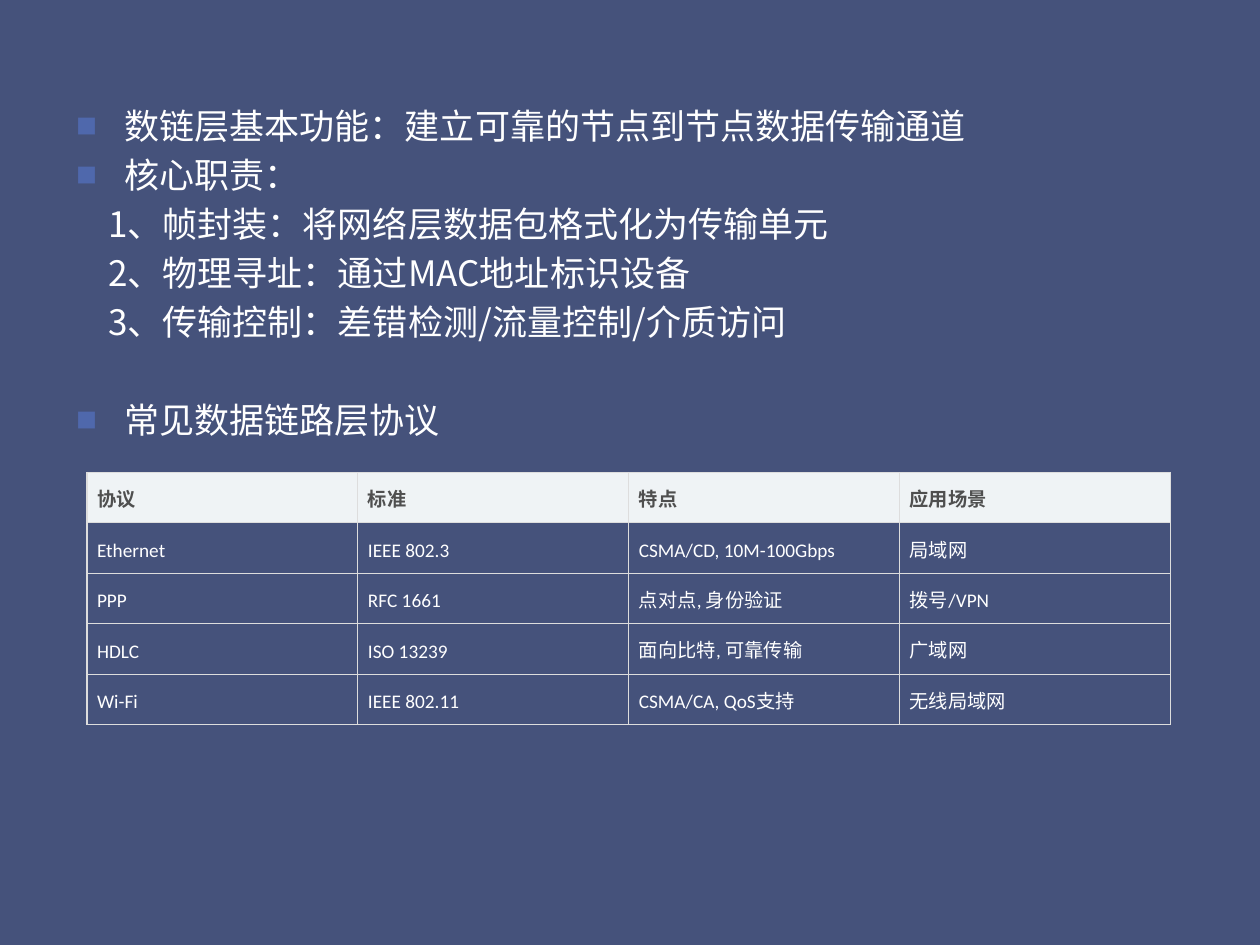
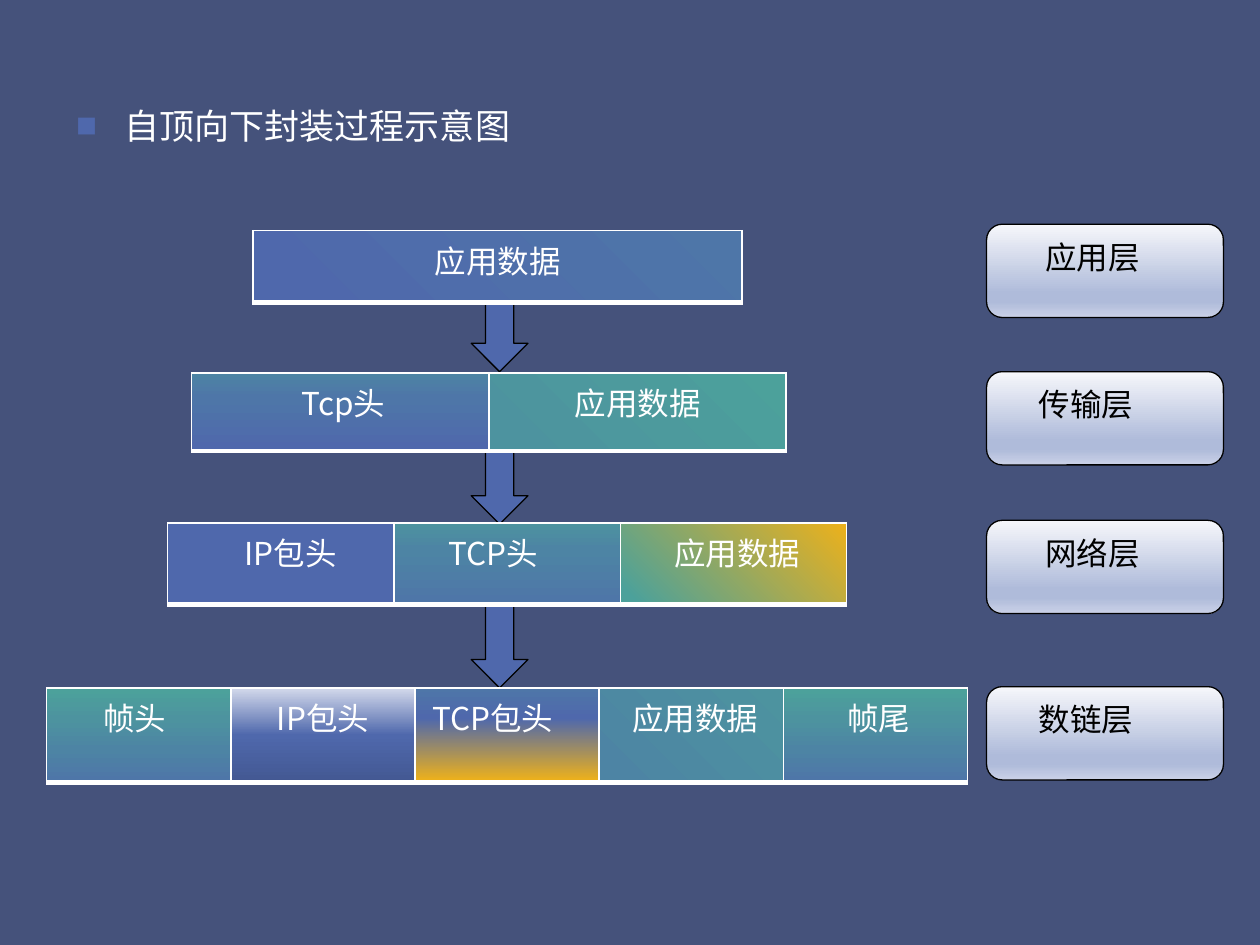
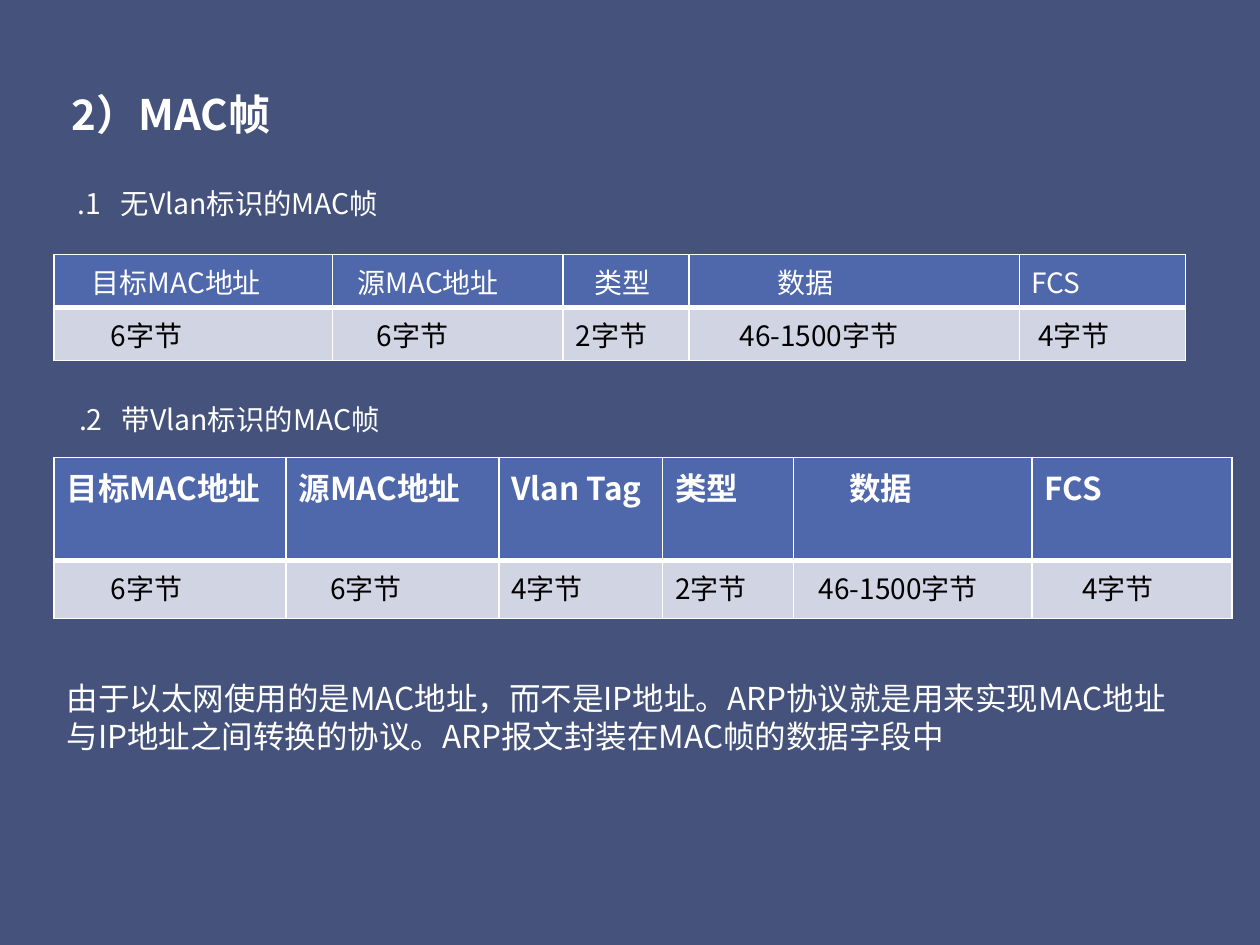
import dataclasses

import pptx
import pptx.dml.color
import pptx.enum.shapes
import pptx.enum.text
import pptx.oxml
import pptx.oxml.ns
import pptx.util

Inches = pptx.util.Inches
Pt = pptx.util.Pt
qn = pptx.oxml.ns.qn
SHAPE = pptx.enum.shapes.MSO_SHAPE
ALIGN = pptx.enum.text.PP_ALIGN
ANCHOR = pptx.enum.text.MSO_ANCHOR
NS = pptx.oxml.ns.nsdecls("a")


@dataclasses.dataclass(frozen=True)
class Theme:
    """Colours, fonts and type sizes of the deck."""
    font: str = "Noto Sans CJK SC"
    table_font: str = "Calibri"
    back: str = "45527B"
    white: str = "FFFFFF"
    black: str = "000000"
    blue: str = "4F68AC"
    pale: str = "D0D4E3"
    head_fill: str = "EFF3F5"
    head_text: str = "4F4F4F"
    grid: str = "DDDDDD"
    steel: str = "4E76A8"
    sea: str = "4D84A4"
    teal: str = "4D939F"
    green: str = "4CA19B"
    gold: str = "EDB11B"
    title: float = 24
    body: float = 20
    label: float = 18
    caption: float = 16.2
    field: float = 16
    small: float = 11
    leading: float = 1.2


T = Theme()
HEADER_LINES = (1, 1, 1, 3)
PLAIN_LINES = (1, 1, 1, 1)


def rgb(value):
    """Turn a hex string into a colour."""
    return pptx.dml.color.RGBColor.from_string(value)


def add_run(p, text, size, color=T.white, bold=False, font=T.font):
    """Append one formatted run to a paragraph."""
    r = p.add_run()
    r.text = text
    r.font.size = Pt(size)
    r.font.bold = bold
    r.font.name = font
    r.font.color.rgb = rgb(color)
    ea = pptx.oxml.parse_xml(f'<a:ea {NS} typeface="{T.font}"/>')
    r.font._element.find(qn("a:latin")).addnext(ea)


def set_indent(p, left, first=0):
    """Set the left margin and first-line indent of a paragraph."""
    pPr = p._p.get_or_add_pPr()
    pPr.set("marL", str(Inches(left)))
    pPr.set("indent", str(Inches(first)))


def add_bullet(p):
    """Give a paragraph a hanging square bullet."""
    set_indent(p, 0.38, -0.38)
    for xml in (
        f'<a:buClr {NS}><a:srgbClr val="{T.blue}"/></a:buClr>',
        f'<a:buSzPct {NS} val="60000"/>',
        f'<a:buFont {NS} typeface="{T.font}"/>',
        f'<a:buChar {NS} char="■"/>',
    ):
        p._p.get_or_add_pPr().append(pptx.oxml.parse_xml(xml))


def fill_gradient(fill, props, stops, angle):
    """Fill with colour stops along a clockwise angle."""
    fill.gradient()
    grad = props.find(qn("a:gradFill"))
    marks = "".join(
        f'<a:gs pos="{pos * 1000}"><a:srgbClr val="{color}"/></a:gs>'
        for pos, color in stops)
    new = pptx.oxml.parse_xml(
        f'<a:gradFill {NS} rotWithShape="1"><a:gsLst>{marks}</a:gsLst>'
        f'<a:lin ang="{angle * 60000}" scaled="0"/></a:gradFill>')
    props.replace(grad, new)


def paint(fill, props, value):
    """Apply no fill, a solid colour or a (stops, angle) gradient."""
    if value is None:
        fill.background()
    elif isinstance(value, str):
        fill.solid()
        fill.fore_color.rgb = rgb(value)
    else:
        fill_gradient(fill, props, *value)


def set_borders(cell, color, widths):
    """Draw the left, right, top and bottom borders of a cell."""
    tcPr = cell._tc.get_or_add_tcPr()
    for i, (side, width) in enumerate(zip("LRTB", widths)):
        tcPr.insert(i, pptx.oxml.parse_xml(
            f'<a:ln{side} {NS} w="{Pt(width)}"><a:solidFill>'
            f'<a:srgbClr val="{color}"/></a:solidFill></a:ln{side}>'))


def add_text(s, x, y, w, h):
    """Add a wrapping text box and return its text frame."""
    tf = s.shapes.add_textbox(Inches(x), Inches(y), Inches(w), Inches(h)).text_frame
    tf.word_wrap = True
    tf.margin_top = Inches(0.07)
    return tf


def add_line(tf, text, size, first=False):
    """Write a paragraph with the deck's leading and return it."""
    p = tf.paragraphs[0] if first else tf.add_paragraph()
    p.line_spacing = Pt(round(size * T.leading, 1))
    add_run(p, text, size)
    return p


def add_body(s, items):
    """Add the main text from (text, bulleted, space before) items."""
    tf = add_text(s, 0.51, 0.76, 8.98, 5.08)
    for i, (text, bulleted, before) in enumerate(items):
        p = add_line(tf, text, T.body, first=i == 0)
        if i:
            p.space_before = Pt(before)
        if bulleted:
            add_bullet(p)
        else:
            set_indent(p, 0.25)


def add_grid(s, x, y, cols, rows):
    """Add an unstyled table with the given column and row sizes."""
    table = s.shapes.add_table(
        len(rows), len(cols), Inches(x), Inches(y),
        Inches(sum(cols)), Inches(sum(rows))).table
    table.first_row = table.horz_banding = False
    for col, w in zip(table.columns, cols):
        col.width = Inches(w)
    for row, h in zip(table.rows, rows):
        row.height = Inches(h)
    return table


def set_cell(cell, text, fill, size, nudge=0.0, align=ALIGN.LEFT,
             lines=HEADER_LINES, grid=T.white, **style):
    """Write, fill and border a cell, nudging its text sideways."""
    p = cell.text_frame.paragraphs[0]
    p.alignment = align
    add_run(p, text, size, **style)
    cell.margin_left = Inches(0.1 + max(nudge, 0))
    cell.margin_right = Inches(0.1 + max(-nudge, 0))
    paint(cell.fill, cell._tc.get_or_add_tcPr(), fill)
    set_borders(cell, grid, lines)
    return p


def add_protocol_table(s, rows):
    """Add the protocol table with a light header row."""
    table = add_grid(s, 0.69, 3.75, [2.15] * 4, [0.4] * len(rows))
    for i, row in enumerate(rows):
        for j, text in enumerate(row):
            cell = table.cell(i, j)
            p = set_cell(
                cell, text, None if i else T.head_fill, T.small,
                lines=[0.75] * 4, grid=T.grid, font=T.table_font, bold=i == 0,
                color=T.white if i else T.head_text)
            p.line_spacing = Pt(16.5)
            cell.vertical_anchor = ANCHOR.MIDDLE
            cell.margin_left = cell.margin_right = Inches(0.08)
            cell.margin_top = cell.margin_bottom = Inches(0.08)


def add_packet(s, x, y, w, h, parts):
    """Add a packet as one row of (text, fill, nudge) parts."""
    table = add_grid(s, x, y, [w / len(parts)] * len(parts), [h])
    for j, (text, fill, nudge) in enumerate(parts):
        set_cell(table.cell(0, j), text, fill, T.label, nudge, ALIGN.CENTER)


def add_frame_table(s, y, heights, head_size, bold, fields):
    """Add a frame layout from (width, name, nudge, length, nudge) fields."""
    table = add_grid(s, 0.43, y, [field[0] for field in fields], heights)
    for j, (_, name, name_nudge, length, length_nudge) in enumerate(fields):
        set_cell(table.cell(0, j), name, T.blue, head_size, name_nudge, bold=bold)
        set_cell(table.cell(1, j), length, T.pale, T.field, length_nudge,
                 lines=PLAIN_LINES, color=T.black)


def add_preset(s, kind, x, y, w, h, fill):
    """Add a preset shape with a thin black outline."""
    sp = s.shapes.add_shape(kind, Inches(x), Inches(y), Inches(w), Inches(h))
    sp.shadow.inherit = False
    paint(sp.fill, sp._element.spPr, fill)
    sp.line.color.rgb = rgb(T.black)
    sp.line.width = Pt(0.75)
    return sp


def add_layer(s, y, text, inset):
    """Add a rounded label for a network layer."""
    glass = ([(0, "F6F7FB"), (74, "AFBBDA"), (83, "AFBBDA"), (100, "CAD1E7")], 90)
    tf = add_preset(s, SHAPE.ROUNDED_RECTANGLE, 7.83, y, 1.88, 0.74, glass).text_frame
    tf.vertical_anchor = ANCHOR.TOP
    tf.margin_left = Inches(inset)
    tf.margin_top = Inches(0.07)
    p = tf.paragraphs[0]
    p.alignment = ALIGN.LEFT
    p.line_spacing = Pt(round(T.label * T.leading, 1))
    add_run(p, text, T.label, T.black)


def add_caption(s, x, y, number, text):
    """Add a numbered caption above a frame table."""
    p = add_line(add_text(s, x, y, 3.4, 0.4), f"{number}\t{text}", T.caption, first=True)
    set_indent(p, 0.34, -0.34)


def set_title(s, text):
    """Place and format the title placeholder."""
    sp = s.shapes.title
    sp.left, sp.top, sp.width, sp.height = map(Inches, (0.57, 0.51, 8.86, 0.59))
    tf = sp.text_frame
    tf.margin_left = tf.margin_right = tf.margin_top = tf.margin_bottom = 0
    tf.vertical_anchor = ANCHOR.BOTTOM
    p = tf.paragraphs[0]
    p.alignment = ALIGN.LEFT
    add_run(p, text, T.title, bold=True)


def build_functions(s):
    """Build the slide on link layer functions and protocols."""
    add_body(s, [
        ("数链层基本功能：建立可靠的节点到节点数据传输通道", True, 0),
        ("核心职责：", True, 4),
        ("1、帧封装：将网络层数据包格式化为传输单元", False, 4),
        ("2、物理寻址：通过MAC地址标识设备", False, 4),
        ("3、传输控制：差错检测/流量控制/介质访问", False, 4),
        ("常见数据链路层协议", True, 32),
    ])
    add_protocol_table(s, [
        ("协议", "标准", "特点", "应用场景"),
        ("Ethernet", "IEEE 802.3", "CSMA/CD, 10M-100Gbps", "局域网"),
        ("PPP", "RFC 1661", "点对点, 身份验证", "拨号/VPN"),
        ("HDLC", "ISO 13239", "面向比特, 可靠传输", "广域网"),
        ("Wi-Fi", "IEEE 802.11", "CSMA/CA, QoS支持", "无线局域网"),
    ])


def build_encapsulation(s):
    """Build the top-down encapsulation diagram."""
    add_body(s, [("自顶向下封装过程示意图", True, 0)])
    for y, text, inset in ((1.78, "应用层", 0.43), (2.95, "传输层", 0.38),
                           (4.13, "网络层", 0.43), (5.45, "数链层", 0.38)):
        add_layer(s, y, text, inset)
    for y, h in ((2.36, 0.59), (3.5, 0.66), (4.79, 0.67)):
        add_preset(s, SHAPE.DOWN_ARROW, 3.74, y, 0.45, h, T.blue)

    def diagonal(start, end):
        """Return a gradient from lower left to upper right."""
        return [(6, start), (100, end)], 315

    def upward(start, middle, end):
        """Return a gradient from bottom to top."""
        return [(2, start), (68, middle), (100, end)], 270

    edge = ([(2, T.steel), (35, T.sea), (67, T.teal), (98, T.green)], 270)
    ip = ([(0, "D3D9EB"), (50, T.blue), (100, "435892")], 90)
    add_packet(s, 1.33, 4.15, 5.39, 0.65, [
        ("IP包头", T.blue, 0.16),
        ("TCP头", upward(T.steel, T.sea, T.teal), -0.22),
        ("应用数据", diagonal(T.green, T.gold), 0.06),
    ])
    add_packet(s, 1.52, 2.96, 4.72, 0.62, [
        ("Tcp头", upward(T.blue, T.steel, T.sea), 0.05),
        ("应用数据", diagonal(T.teal, T.green), 0),
    ])
    add_packet(s, 0.37, 5.46, 7.31, 0.75, [
        ("帧头", edge, -0.06),
        ("IP包头", ip, 0),
        ("TCP包头", upward(T.gold, T.blue, T.steel), -0.23),
        ("应用数据", diagonal(T.sea, T.teal), 0.06),
        ("帧尾", edge, 0.05),
    ])
    add_packet(s, 2.01, 1.83, 3.88, 0.57, [("应用数据", diagonal(T.blue, T.steel), 0)])


def build_mac_frame(s):
    """Build the slide on MAC frames with and without a VLAN tag."""
    set_title(s, "2）MAC帧")
    add_caption(s, 0.52, 1.41, ".1", "无Vlan标识的MAC帧")
    add_frame_table(s, 2.02, [0.42, 0.42], T.field, False, [
        (2.21, "目标MAC地址", 0.2, "6字节", 0.35),
        (1.83, "源MAC地址", 0.1, "6字节", 0.25),
        (1, "类型", 0.15, "2字节", 0),
        (2.62, "数据", 0.6, "46-1500字节", 0.3),
        (1.32, "FCS", 0, "4字节", 0.05),
    ])
    add_caption(s, 0.53, 3.12, ".2", "带Vlan标识的MAC帧")
    add_frame_table(s, 3.63, [0.82, 0.46], T.label, True, [
        (1.84, "目标MAC地址", 0, "6字节", 0.35),
        (1.69, "源MAC地址", 0, "6字节", 0.25),
        (1.3, "Vlan Tag", 0, "4字节", 0),
        (1.04, "类型", 0, "2字节", 0),
        (1.89, "数据", 0.34, "46-1500字节", 0.1),
        (1.59, "FCS", 0, "4字节", 0.3),
    ])
    add_line(add_text(s, 0.43, 5.32, 9.01, 0.86),
             "由于以太网使用的是MAC地址，而不是IP地址。ARP协议就是用来实现MAC地址与IP地址之间"
             "转换的协议。ARP报文封装在MAC帧的数据字段中", T.label, first=True)


def main():
    """Build and save the deck."""
    prs = pptx.Presentation()
    prs.slide_width, prs.slide_height = Inches(10), Inches(7.5)
    paint(prs.slide_master.background.fill, None, T.back)
    title_only, blank = prs.slide_layouts[5], prs.slide_layouts[6]
    build_functions(prs.slides.add_slide(blank))
    build_encapsulation(prs.slides.add_slide(blank))
    build_mac_frame(prs.slides.add_slide(title_only))
    prs.save("out.pptx")


if __name__ == "__main__":
    main()
